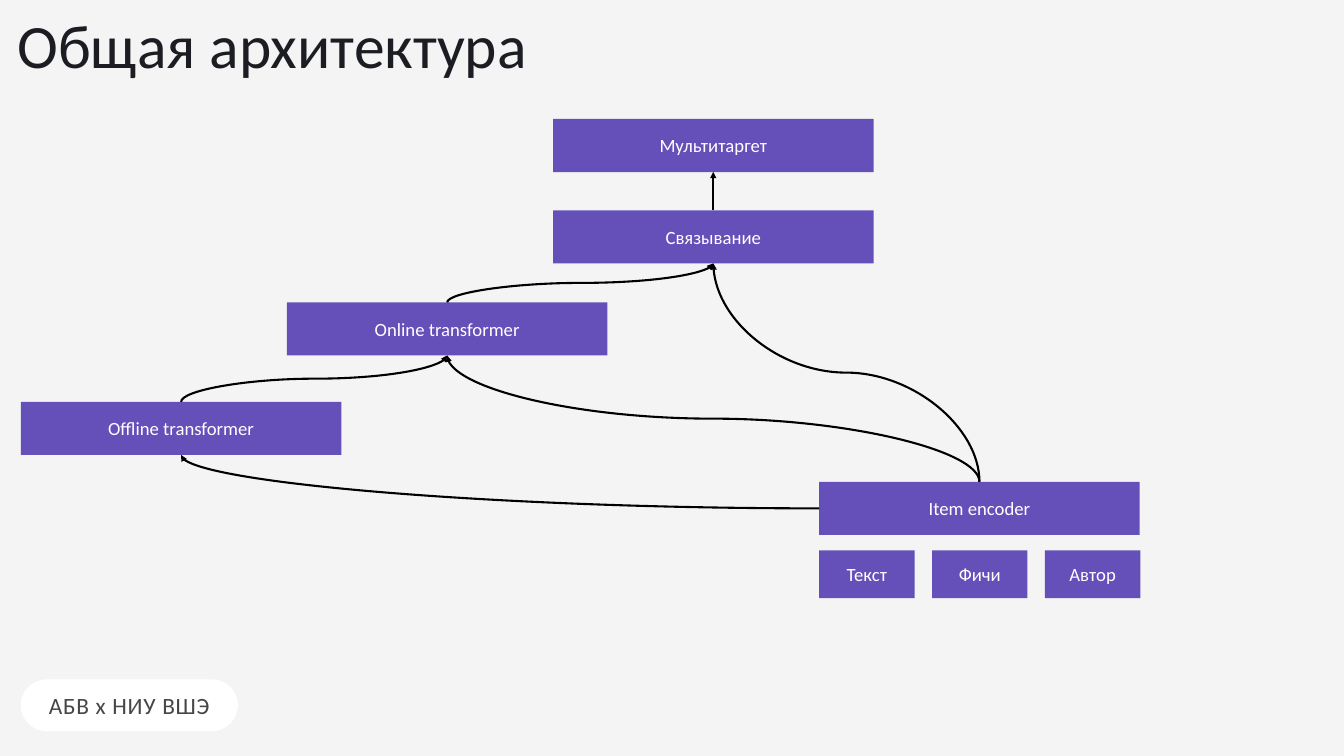
from lxml import etree
from pptx import Presentation
from pptx.dml.color import RGBColor
from pptx.enum.shapes import MSO_CONNECTOR as Link, MSO_SHAPE as Preset
from pptx.enum.text import MSO_ANCHOR as Anchor, PP_ALIGN as Align
from pptx.oxml.ns import qn
from pptx.util import Inches, Pt

PAPER = RGBColor(0xF4, 0xF4, 0xF4)
INK = RGBColor(0x1B, 0x1D, 0x22)
GREY = RGBColor(0x46, 0x46, 0x46)
VIOLET = RGBColor(0x64, 0x50, 0xB8)
WHITE = RGBColor(0xFF, 0xFF, 0xFF)
BLACK = RGBColor(0, 0, 0)

# Grid: block columns are evenly spaced, rows are listed by their top edge
MARGIN, COLUMN = 0.31, 3.96
ROWS = [1.77, 3.13, 4.5, 5.98, 7.17, 8.19]
BLOCK_WIDTH, BLOCK_HEIGHT = 4.77, 0.79
PART_WIDTH, PART_HEIGHT, PART_STEP = 1.42, 0.71, 1.68
TOP, LEFT, BOTTOM = 0, 1, 2


def write(shape, text, size=20, color=WHITE, align=Align.CENTER,
          anchor=Anchor.MIDDLE, inset=None, line_spacing=None, tracking=None):
    frame = shape.text_frame
    frame.word_wrap = True
    frame.vertical_anchor = anchor
    if inset is not None:
        frame.margin_left = frame.margin_right = Inches(inset)
        frame.margin_top = frame.margin_bottom = Inches(inset)
    para = frame.paragraphs[0]
    para.alignment = align
    if line_spacing:
        para.line_spacing = line_spacing
    span = para.add_run()
    span.text = text
    span.font.name = "Calibri"
    span.font.size = Pt(size)
    span.font.color.rgb = color
    if tracking:
        span.font._element.set("spc", str(round(tracking * 100)))


class Diagram:
    """Holds the style and the current slide."""

    def __init__(self, page):
        self.page = page
        page.background.fill.solid()
        page.background.fill.fore_color.rgb = PAPER

    def title(self, text):
        box = self.page.shapes.add_textbox(
            Inches(0.16), Inches(0.35), Inches(17.84), Inches(1.42))
        write(box, text, size=66, color=INK, align=Align.LEFT,
              anchor=Anchor.TOP, line_spacing=0.7)

    def shape(self, preset, left, top, width, height, fill):
        box = self.page.shapes.add_shape(
            preset, Inches(left), Inches(top), Inches(width), Inches(height))
        box.shadow.inherit = False
        box.fill.solid()
        box.fill.fore_color.rgb = fill
        box.line.fill.background()
        return box

    def badge(self, text):
        pill = self.shape(Preset.ROUNDED_RECTANGLE, MARGIN, 10.11, 3.23, 0.77, WHITE)
        pill.adjustments[0] = 0.5
        write(pill, text, size=25, color=GREY, tracking=0.8)

    def block(self, text, column, row, shift=0, width=BLOCK_WIDTH, height=BLOCK_HEIGHT):
        box = self.shape(Preset.RECTANGLE, MARGIN + column * COLUMN + shift,
                         ROWS[row], width, height, VIOLET)
        write(box, text, inset=0)
        return box

    def arrow(self, source, target, side=TOP):
        """Curved arrow from one side of the source to the target's bottom."""
        curve = self.page.shapes.add_connector(Link.CURVE, 0, 0, 0, 0)
        curve.begin_connect(source, side)
        curve.end_connect(target, BOTTOM)
        x1, y1 = curve.begin_x, curve.begin_y
        x2, y2 = curve.end_x, curve.end_y
        width, height = abs(x2 - x1), abs(y2 - y1)
        properties = curve._element.spPr
        if side == LEFT:
            properties.find(qn("a:prstGeom")).set("prst", "curvedConnector2")
            turn, flips = 180, ()
        else:
            # A vertical S-curve is a horizontal one turned by a quarter
            width, height = height, width
            turn, flips = (270, ("flipV",)) if x2 < x1 else (90, ("flipH", "flipV"))
        curve.left, curve.top = (x1 + x2 - width) // 2, (y1 + y2 - height) // 2
        curve.width, curve.height = width, height
        frame = properties.find(qn("a:xfrm"))
        for name in ("flipH", "flipV"):
            frame.attrib.pop(name, None)
        for name in flips:
            frame.set(name, "1")
        frame.set("rot", str(turn * 60000))
        curve.line.color.rgb = BLACK
        curve.line.width = Pt(2.25)
        line = properties.find(qn("a:ln"))
        etree.SubElement(line, qn("a:tailEnd"), type="triangle")
        etree.SubElement(properties, qn("a:effectLst"))


def main():
    deck = Presentation()
    deck.slide_width, deck.slide_height = Inches(20), Inches(11.25)
    diagram = Diagram(deck.slides.add_slide(deck.slide_layouts[6]))

    # Badge and title
    diagram.badge("АБВ х НИУ ВШЭ")
    diagram.title("Общая архитектура")

    # Item encoder and its inputs
    encoder = diagram.block("Item encoder", 3, 4)
    for index, name in enumerate(["Текст", "Фичи", "Автор"]):
        diagram.block(name, 3, 5, index * PART_STEP, PART_WIDTH, PART_HEIGHT)

    # Model stages
    offline = diagram.block("Offline transformer", 0, 3)
    online = diagram.block("Online transformer", 1, 2)
    binding = diagram.block("Связывание", 2, 1)
    multitarget = diagram.block("Мультитаргет", 2, 0)

    # Data flow
    diagram.arrow(encoder, offline, side=LEFT)
    for source, target in [(encoder, online), (encoder, binding), (offline, online),
                           (online, binding), (binding, multitarget)]:
        diagram.arrow(source, target)

    deck.save("out.pptx")


if __name__ == "__main__":
    main()
